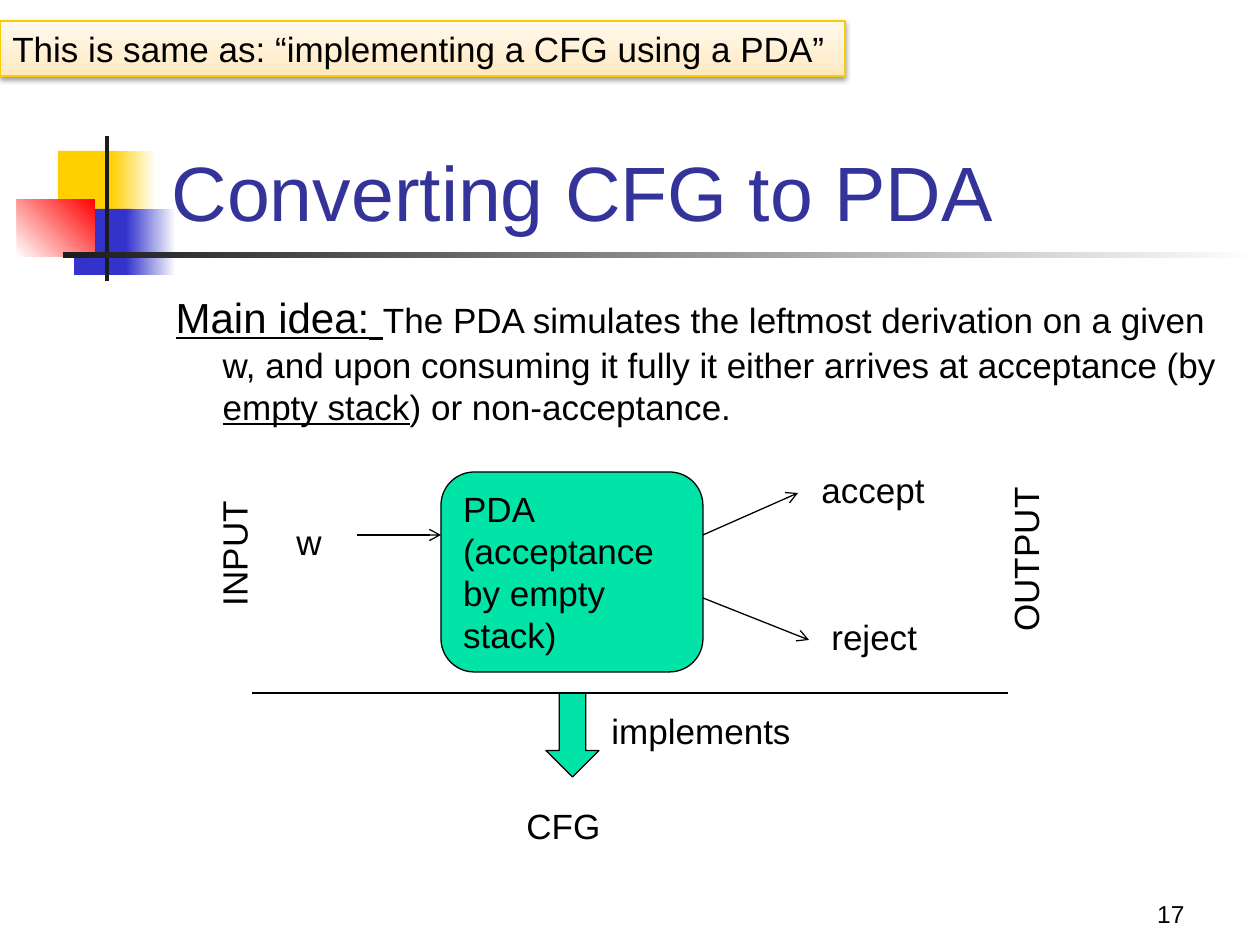
from pptx import Presentation
from pptx.dml.color import RGBColor
from pptx.enum.shapes import MSO_CONNECTOR, MSO_SHAPE
from pptx.enum.text import MSO_ANCHOR, MSO_AUTO_SIZE, PP_ALIGN
from pptx.oxml import parse_xml
from pptx.oxml.ns import nsdecls
from pptx.util import Pt

SCALE = 914400 / 126
COLORS = {
    "black": "000000", "white": "FFFFFF", "ink": "1C1C1C", "title": "333399",
    "yellow": "FFCF01", "blue": "3333CC", "red": "FF0000", "green": "00E4A8",
    "gold": "FACB00", "cream_dark": "FFE9BD", "cream": "FFEFD1", "cream_light": "FFF9EE",
}
LABEL_HEIGHT = 55


def px(pixels):
    """Turn picture pixels into EMU."""
    return round(pixels * SCALE)


def color(name):
    """Return a named colour."""
    return RGBColor.from_string(COLORS[name])


def set_values(target, values):
    """Set each attribute in a dict on the target."""
    for name, value in values.items():
        setattr(target, name, value)


def place(shape, box):
    """Give a shape its left, top, width and height."""
    set_values(shape, dict(zip(("left", "top", "width", "height"), map(px, box))))


def write(shape, runs, ink="black", align=PP_ALIGN.LEFT, **frame_values):
    """Write (text, size, underline) runs into the first paragraph."""
    frame = shape.text_frame
    set_values(frame, {"auto_size": MSO_AUTO_SIZE.NONE, "word_wrap": True,
                       "vertical_anchor": MSO_ANCHOR.TOP, **frame_values})
    paragraph = frame.paragraphs[0]
    paragraph.alignment = align
    for text, size, underline in runs:
        for index, line in enumerate(text.split("\n")):
            if index:
                paragraph.add_line_break()
            run = paragraph.add_run()
            run.text = line
            set_values(run.font, {"name": "Arial", "size": Pt(size), "underline": underline})
            run.font.color.rgb = color(ink)
    return paragraph


def add_block(slide, kind, box, fill, line=None):
    """Add a preset shape with a solid fill and an optional thin outline."""
    shape = slide.shapes.add_shape(kind, *map(px, box))
    shape.shadow.inherit = False
    shape.fill.solid()
    shape.fill.fore_color.rgb = color(fill)
    if line:
        shape.line.color.rgb = color(line)
        shape.line.width = Pt(0.75)
    else:
        shape.line.fill.background()
    return shape


def add_gradient(shape, stops, angle):
    """Replace the solid fill by a linear gradient of (percent, colour) stops."""
    marks = "".join(f'<a:gs pos="{percent * 1000}"><a:srgbClr val="{COLORS[name]}"/></a:gs>'
                    for percent, name in stops)
    properties = shape._element.spPr
    solid = properties.find("{*}solidFill")
    properties.replace(solid, parse_xml(
        f'<a:gradFill rotWithShape="1" {nsdecls("a")}><a:gsLst>{marks}</a:gsLst>'
        f'<a:lin ang="{angle * 60000}" scaled="0"/></a:gradFill>'))


def add_line(slide, start, end, arrow=True):
    """Add a thin black line, with an open arrowhead if wanted."""
    line = slide.shapes.add_connector(MSO_CONNECTOR.STRAIGHT, *map(px, (*start, *end)))
    line.line.color.rgb = color("black")
    line.line.width = Pt(0.75)
    if arrow:
        line.line._get_or_add_ln().append(parse_xml(f'<a:tailEnd type="arrow" {nsdecls("a")}/>'))
    line._element.spPr.append(parse_xml(f'<a:effectLst {nsdecls("a")}/>'))


def add_label(slide, text, box, rotation=0, size=20, **values):
    """Add a text box with one line of text."""
    label = slide.shapes.add_textbox(*map(px, box))
    label.rotation = rotation
    write(label, [(text, size, False)], **{"word_wrap": False, **values})


def add_ornament(slide, left, top):
    """Draw the coloured squares and the crossing bars."""
    parts = [
        ((41, 15, 60, 66), "yellow", None, 0),
        ((94, 15, 45, 66), "yellow", ("yellow", "white"), 0),
        ((57, 73, 58, 66), "blue", None, 0),
        ((109, 73, 50, 66), "blue", ("blue", "white"), 0),
        ((0, 63, 78, 58), "red", ("white", "red"), 315),
        ((88, 0, 4, 145), "ink", None, 0),
        ((46, 116, 1197, 6), "ink", ("ink", "white"), 0),
    ]
    for (x, y, width, height), fill, fade, angle in parts:
        block = add_block(slide, MSO_SHAPE.RECTANGLE, (left + x, top + y, width, height), fill)
        if fade:
            add_gradient(block, zip((0, 100), fade), angle)


def add_heading(slide, box):
    """Fill the title placeholder."""
    title = slide.shapes.title
    place(title, box)
    write(title, [("Converting CFG to PDA", 44, False)], "title",
          vertical_anchor=MSO_ANCHOR.BOTTOM)
    slide.shapes._spTree.append(title._element)


def add_main_idea(slide, box):
    """Fill the body placeholder with a hanging paragraph."""
    body = slide.placeholders[1]
    place(body, box)
    paragraph = write(body, [
        ("Main idea:", 24, True),
        (" ", 28, True),
        ("The PDA simulates the leftmost derivation on a given w, and upon consuming "
         "it fully it either arrives at acceptance (by ", 20, False),
        ("empty stack", 20, True),
        (") or non-acceptance.", 20, False),
    ])
    properties = paragraph._p.get_or_add_pPr()
    properties.set("marL", str(px(47)))
    properties.set("indent", str(px(-47)))
    properties.append(parse_xml(f'<a:buNone {nsdecls("a")}/>'))
    slide.shapes._spTree.append(body._element)


def add_callout(slide, box):
    """Draw the shaded note with its soft shadow."""
    note = add_block(slide, MSO_SHAPE.RECTANGLE, box, "cream", "gold")
    add_gradient(note, [(0, "cream_dark"), (35, "cream"), (100, "cream_light")], 270)
    note._element.spPr.find("{*}effectLst").append(parse_xml(
        f'<a:outerShdw blurRad="{Pt(3.1)}" dist="{Pt(1.6)}" dir="5400000" rotWithShape="0" '
        f'{nsdecls("a")}><a:srgbClr val="{COLORS["black"]}"><a:alpha val="38000"/>'
        '</a:srgbClr></a:outerShdw>'))
    write(note, [("This is same as: “implementing a CFG using a PDA”", 20, False)],
          word_wrap=False)


def add_diagram(slide, left, top):
    """Draw the machine with its input, outputs and the grammar below."""
    machine = add_block(slide, MSO_SHAPE.ROUNDED_RECTANGLE,
                        (left + 189, top, 262, 200), "green", "black")
    write(machine, [("PDA\n(acceptance by empty stack)", 20, False)])
    add_block(slide, MSO_SHAPE.DOWN_ARROW, (left + 294, top + 221, 53, 84), "green", "black")
    lines = [
        ((105, 63), (189, 63), True),
        ((451, 63), (546, 21), True),
        ((451, 126), (557, 168), True),
        ((0, 221), (756, 221), False),
    ]
    for (x1, y1), (x2, y2), arrow in lines:
        add_line(slide, (left + x1, top + y1), (left + x2, top + y2), arrow)
    labels = [
        ("w", 32, 42, 50, 0),
        ("accept", 557, -10, 130, 0),
        ("reject", 567, 137, 112, 0),
        ("implements", 347, 231, 207, 0),
        ("CFG", 262, 326, 101, 0),
        ("INPUT", -84, 53, 132, 270),
        ("OUTPUT", 688, 59, 171, 270),
    ]
    for text, x, y, width, rotation in labels:
        add_label(slide, text, (left + x, top + y, width, LABEL_HEIGHT), rotation)


def build():
    """Build and save the slide."""
    presentation = Presentation()
    set_values(presentation, {"slide_width": px(1260), "slide_height": px(945)})
    slide = presentation.slides.add_slide(presentation.slide_layouts[1])
    add_ornament(slide, 17, 136)
    add_label(slide, "17", (935, 872, 262, 63), size=14, align=PP_ALIGN.RIGHT,
              word_wrap=True, vertical_anchor=MSO_ANCHOR.BOTTOM)
    add_heading(slide, (159, 86, 1073, 157))
    add_main_idea(slide, (163, 278, 1071, 174))
    add_callout(slide, (0, 21, 845, LABEL_HEIGHT))
    add_diagram(slide, 252, 472)
    presentation.save("out.pptx")


build()
